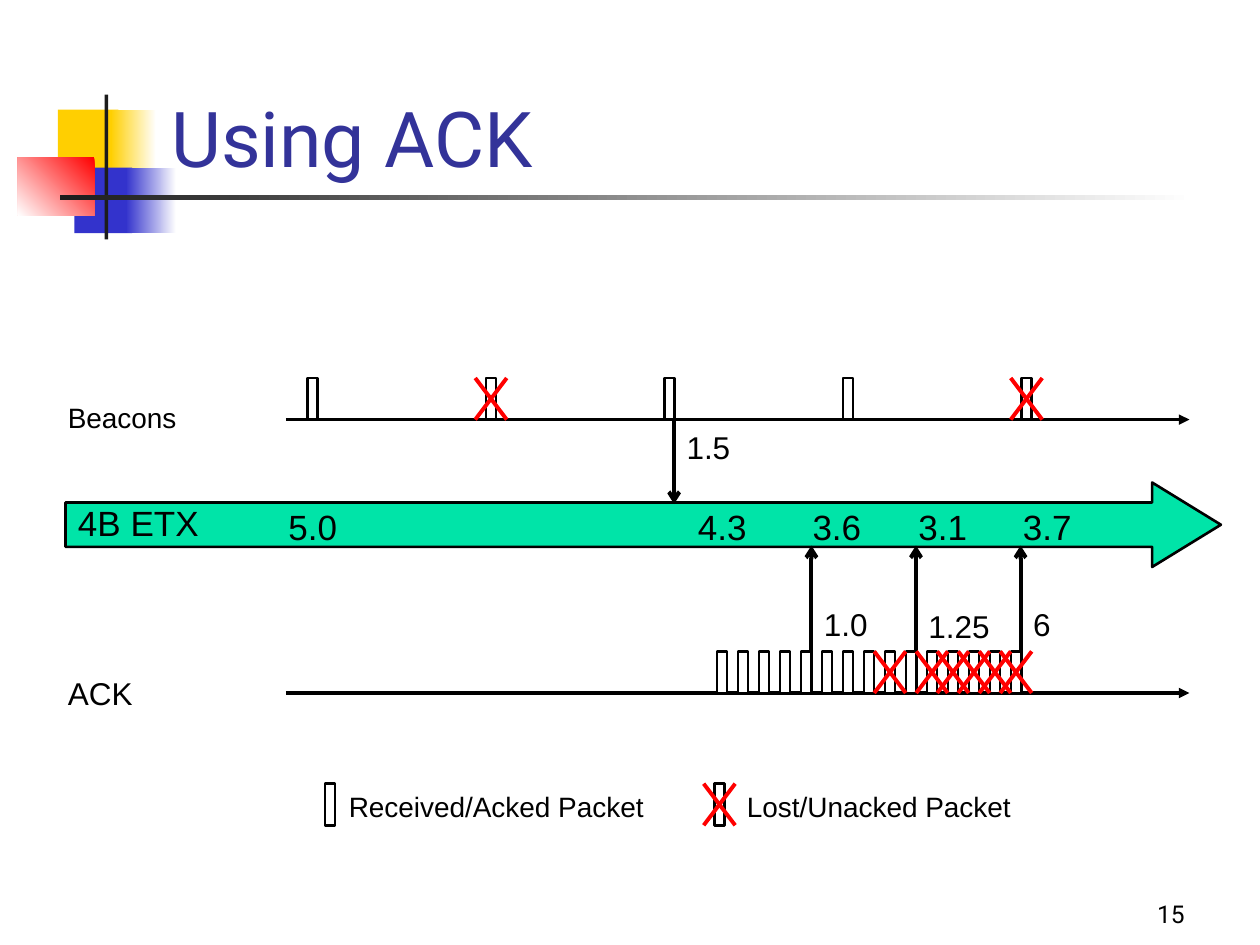
from lxml.etree import SubElement
from pptx import Presentation
from pptx.dml.color import RGBColor
from pptx.enum.shapes import MSO_CONNECTOR as Connector, MSO_SHAPE as Shape
from pptx.enum.text import MSO_ANCHOR as Anchor, PP_ALIGN as Align
from pptx.oxml.ns import qn
from pptx.util import Inches, Pt

BLACK, WHITE, RED = "000000", "FFFFFF", "FF0000"
YELLOW, BLUE, CHARCOAL = "FFCF01", "3333CC", "1C1C1C"
PACKET_WIDTH, PACKET_HEIGHT, CROSS_WIDTH = 0.08, 0.33, 0.25
BEACON_AXIS, ACK_AXIS = 3.33, 5.5


def color(value):
    return RGBColor.from_string(value)


def add_block(page, left, top, width, height, fill, outline=None,
              kind=Shape.RECTANGLE, angle=180):
    """A filled shape; a pair of colours as fill gives a gradient."""
    block = page.shapes.add_shape(
        kind, Inches(left), Inches(top), Inches(width), Inches(height))
    block.shadow.inherit = False
    if isinstance(fill, tuple):
        block.fill.gradient()
        block.fill.gradient_angle = angle
        for stop, value in zip(block.fill.gradient_stops, fill):
            stop.color.rgb = color(value)
    else:
        block.fill.solid()
        block.fill.fore_color.rgb = color(fill)
    if outline:
        block.line.color.rgb = color(outline)
        block.line.width = Pt(1.5)
    else:
        block.line.fill.background()
    return block


def add_line(page, start, end, stroke=BLACK, width=2.25, arrow=None):
    line = page.shapes.add_connector(
        Connector.STRAIGHT, *(Inches(value) for value in (*start, *end)))
    line.line.color.rgb = color(stroke)
    line.line.width = Pt(width)
    if arrow:
        SubElement(line.line._get_or_add_ln(), qn("a:tailEnd"), type=arrow)
    SubElement(line._element.spPr, qn("a:effectLst"))


def add_text(page, text, left, top, width, height, size=18, font="Arial",
             fill=BLACK, anchor=Anchor.TOP, align=Align.LEFT):
    box = page.shapes.add_textbox(
        Inches(left), Inches(top), Inches(width), Inches(height))
    frame = box.text_frame
    frame.word_wrap = True
    frame.vertical_anchor = anchor
    para = frame.paragraphs[0]
    para.alignment = align
    span = para.add_run()
    span.text = text
    span.font.name = font
    span.font.size = Pt(size)
    span.font.color.rgb = color(fill)


def add_packets(page, lefts, top, lost=()):
    """A row of packets, with a cross over each lost one."""
    for left in lefts:
        add_block(page, left, top, PACKET_WIDTH, PACKET_HEIGHT, WHITE, BLACK)
    for index in lost:
        center = lefts[index] + PACKET_WIDTH / 2
        west, east = center - CROSS_WIDTH / 2, center + CROSS_WIDTH / 2
        bottom = top + PACKET_HEIGHT
        add_line(page, (west, top), (east, bottom), RED)
        add_line(page, (east, top), (west, bottom), RED)


def add_decoration(page):
    add_block(page, 0.46, 0.87, 0.48, 0.52, YELLOW)
    add_block(page, 0.88, 0.87, 0.36, 0.52, (WHITE, YELLOW))
    add_block(page, 0.59, 1.33, 0.46, 0.52, BLUE)
    add_block(page, 1, 1.33, 0.4, 0.52, (WHITE, BLUE))
    add_block(page, 0.14, 1.25, 0.61, 0.46, (RED, WHITE), angle=225)
    add_block(page, 0.83, 0.75, 0.03, 1.15, CHARCOAL)
    add_block(page, 0.48, 1.55, 9, 0.04, (WHITE, CHARCOAL))


def add_timelines(page):
    # Wide arrow with the estimate over time
    band = add_block(page, 0.52, 3.83, 9.17, 0.67, "00E4A8", BLACK,
                     Shape.RIGHT_ARROW)
    band.adjustments[0], band.adjustments[1] = 0.526, 0.814
    add_text(page, "4B ETX", 0.52, 3.93, 3.25, 0.44, 20)
    for value, left in (("5.0", 2.19), ("4.3", 5.44), ("3.6", 6.35),
                        ("3.1", 7.19), ("3.7", 8.02)):
        add_text(page, value, left, 3.96, 0.92, 0.44, 20)

    # Axes and their names
    for axis in (BEACON_AXIS, ACK_AXIS):
        add_line(page, (2.27, axis), (9.44, axis), width=2, arrow="triangle")
    add_text(page, "Beacons", 0.44, 3.13, 1.5, 0.37, 16)
    add_text(page, "ACK", 0.44, 5.3, 1.5, 0.4)

    # Updates that feed the estimate
    add_line(page, (5.35, BEACON_AXIS), (5.35, 4), arrow="arrow")
    add_text(page, "1.5", 5.35, 3.35, 0.92, 0.4)
    for value, left, top in (("1.0", 6.44, 4.75), ("1.25", 7.27, 4.77),
                             ("6", 8.1, 4.75)):
        add_line(page, (left, ACK_AXIS), (left, 4.33), arrow="arrow")
        add_text(page, value, left, top, 0.75, 0.4)

    # Packets on both axes
    beacons = [2.44 + index * 17 / 12 for index in range(5)]
    add_packets(page, beacons, BEACON_AXIS - PACKET_HEIGHT, lost=(1, 4))
    acks = [5.69 + index / 6 for index in range(15)]
    add_packets(page, acks, ACK_AXIS - PACKET_HEIGHT,
                lost=(8, 10, 11, 12, 13, 14))


def add_legend(page):
    add_packets(page, [2.58, 5.67], 6.22, lost=(1,))
    add_text(page, "Received/Acked Packet", 2.67, 6.22, 2.67, 0.37, 16)
    add_text(page, "Lost/Unacked Packet", 5.83, 6.22, 2.67, 0.37, 16)


def main():
    deck = Presentation()
    deck.slide_width, deck.slide_height = Inches(10), Inches(7.5)
    page = deck.slides.add_slide(deck.slide_layouts[6])
    add_decoration(page)
    add_text(page, "Using ACK", 1.26, 0.25, 8.52, 1.25, 44, "Roboto",
             "333399", Anchor.BOTTOM)
    add_timelines(page)
    add_legend(page)
    add_text(page, "15", 7.42, 6.92, 2.08, 0.5, 14, "Roboto",
             anchor=Anchor.BOTTOM, align=Align.RIGHT)
    deck.save("out.pptx")


if __name__ == "__main__":
    main()
